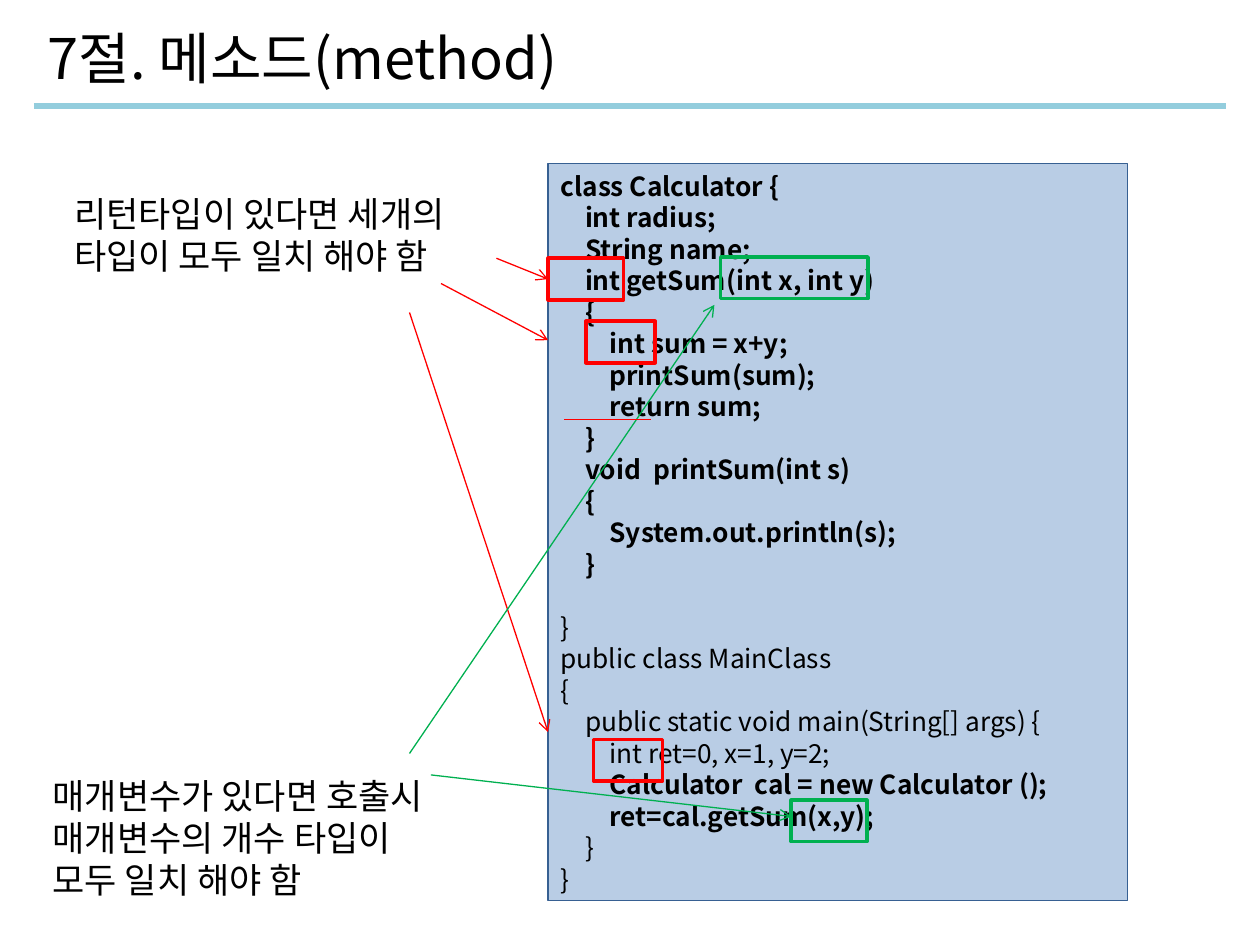
from lxml.etree import SubElement
from pptx import Presentation
from pptx.dml.color import RGBColor
from pptx.enum.shapes import MSO_CONNECTOR as Connector, MSO_SHAPE as Shape
from pptx.enum.text import MSO_ANCHOR as Anchor, MSO_AUTO_SIZE as AutoSize, PP_ALIGN as Align
from pptx.oxml.ns import qn
from pptx.util import Inches, Pt

FONT = "Noto Sans CJK KR"
BLACK, RED, GREEN = "000000", "FF0000", "00B050"
SKY, PALE, NAVY = "93CDDD", "B9CDE5", "376092"
CELLS_PER_INCH = 20
TAB_INCHES = 0.195

TITLE = ("7절. 메소드(method)", (5.6, 1.6, 178.4, 14.8))
NOTES = [
    (["리턴타입이 있다면 세개의", "타입이 모두 일치 해야 함"], (9.8, 29.6, 65, 15.4)),
    (["매개변수가 있다면 호출시", "매개변수의 개수 타입이", "모두 일치 해야 함"],
     (6.4, 122, 63.4, 22)),
]
CODE_AREA = (87, 26, 92, 117)
CODE = [
    (0, "class Calculator {", True),
    (1, "int radius;", True),
    (1, "String name;", True),
    (1, "int getSum(int x, int y)", True),
    (1, "{", True),
    (2, "int sum = x+y;", True),
    (2, "printSum(sum);", True),
    (2, "return sum;", True),
    (1, "}", True),
    (1, "void  printSum(int s)", True),
    (1, "{", True),
    (2, "System.out.println(s);", True),
    (1, "}", True),
    (0, "", True),
    (0, "}", False),
    (0, "public class MainClass", False),
    (0, "{", False),
    (1, "public static void main(String[] args) {", False),
    (2, "int ret=0, x=1, y=2;", False),
    (2, "Calculator  cal = new Calculator ();", True),
    (2, "ret=cal.getSum(x,y);", True),
    (1, "}", False),
    (0, "}", False),
]
MARKS = {
    "return type": ((87, 41, 12, 6.6), RED),
    "sum type": ((93, 51, 11, 6.6), RED),
    "ret type": ((94.2, 117.4, 11, 6.6), RED),
    "arguments": ((125.6, 127, 12, 6.6), GREEN),
    "parameters": ((114.4, 40.8, 23.4, 6.6), GREEN),
}
RULE = ((5.4, 16.8), (194.6, 16.8), SKY, 3.5, False, None)
LINKS = [
    ((78.8, 41), (87, 44.3), RED, 0.75, True, "return type"),
    ((70, 45), (87, 54), RED, 0.75, True, None),
    ((65, 49.6), (87, 116.2), RED, 0.75, True, None),
    ((65, 119.6), (113.4, 48.4), GREEN, 0.75, True, None),
    ((68.4, 123), (125.6, 129.6), GREEN, 0.75, True, None),
    ((89.6, 66.6), (103.4, 66.6), RED, 0.75, False, None),
]


def color(value):
    return RGBColor.from_string(value)


def cells(values):
    return [Inches(value / CELLS_PER_INCH) for value in values]


def apply(target, formats):
    for key, value in formats.items():
        setattr(target, key, value)


def write(paragraph, text, size, bold=False):
    apply(paragraph, {"alignment": Align.LEFT, "line_spacing": Pt(size * 1.2)})
    if not text:
        return
    run = paragraph.add_run()
    run.text = text
    apply(run.font, {"name": FONT, "size": Pt(size), "bold": bold})
    run.font.color.rgb = color(BLACK)
    SubElement(run.font._element, qn("a:ea"), typeface=FONT)


def add_tabs(paragraph):
    tabs = SubElement(paragraph._p.get_or_add_pPr(), qn("a:tabLst"))
    for stop in range(1, 8):
        SubElement(tabs, qn("a:tab"), pos=str(Inches(stop * TAB_INCHES)), algn="l")


def next_paragraph(frame, index):
    return frame.add_paragraph() if index else frame.paragraphs[0]


def add_box(shapes, area, outline, width, fill=None):
    box = shapes.add_shape(Shape.RECTANGLE, *cells(area))
    box.shadow.inherit = False
    if fill:
        box.fill.solid()
        box.fill.fore_color.rgb = color(fill)
    else:
        box.fill.background()
    box.line.color.rgb = color(outline)
    box.line.width = Pt(width)
    return box


def add_link(shapes, start, end, hue, width, arrow, target):
    link = shapes.add_connector(Connector.STRAIGHT, *cells(start + end))
    link.line.color.rgb = color(hue)
    link.line.width = Pt(width)
    if arrow:
        SubElement(link.line._get_or_add_ln(), qn("a:tailEnd"), type="arrow")
    SubElement(link._element.spPr, qn("a:effectLst"))
    if target:
        link.end_connect(target, 1)


def main():
    deck = Presentation()
    apply(deck, {"slide_width": Inches(10), "slide_height": Inches(7.5)})
    slide = deck.slides.add_slide(deck.slide_layouts[5])
    shapes = slide.shapes

    heading, heading_area = TITLE
    title = shapes.title
    apply(title, dict(zip(("left", "top", "width", "height"), cells(heading_area))))
    apply(title.text_frame, {"vertical_anchor": Anchor.MIDDLE, "auto_size": AutoSize.NONE})
    write(title.text_frame.paragraphs[0], heading, 32)
    add_link(shapes, *RULE[:-1], None)

    group = shapes.add_group_shape()
    listing = add_box(group.shapes, CODE_AREA, NAVY, 0.75, PALE).text_frame
    apply(listing, {"word_wrap": True, "vertical_anchor": Anchor.TOP})
    for index, (depth, text, bold) in enumerate(CODE):
        paragraph = next_paragraph(listing, index)
        add_tabs(paragraph)
        write(paragraph, "\t" * depth + text, 15, bold)
    marks = {part: add_box(group.shapes, area, hue, 2)
             for part, (area, hue) in MARKS.items()}

    for lines, area in NOTES:
        note = shapes.add_textbox(*cells(area)).text_frame
        apply(note, {"word_wrap": True, "margin_right": 0})
        for index, text in enumerate(lines):
            write(next_paragraph(note, index), text, 20)

    for *link, target in LINKS:
        add_link(shapes, *link, marks.get(target))

    deck.save("out.pptx")


if __name__ == "__main__":
    main()
